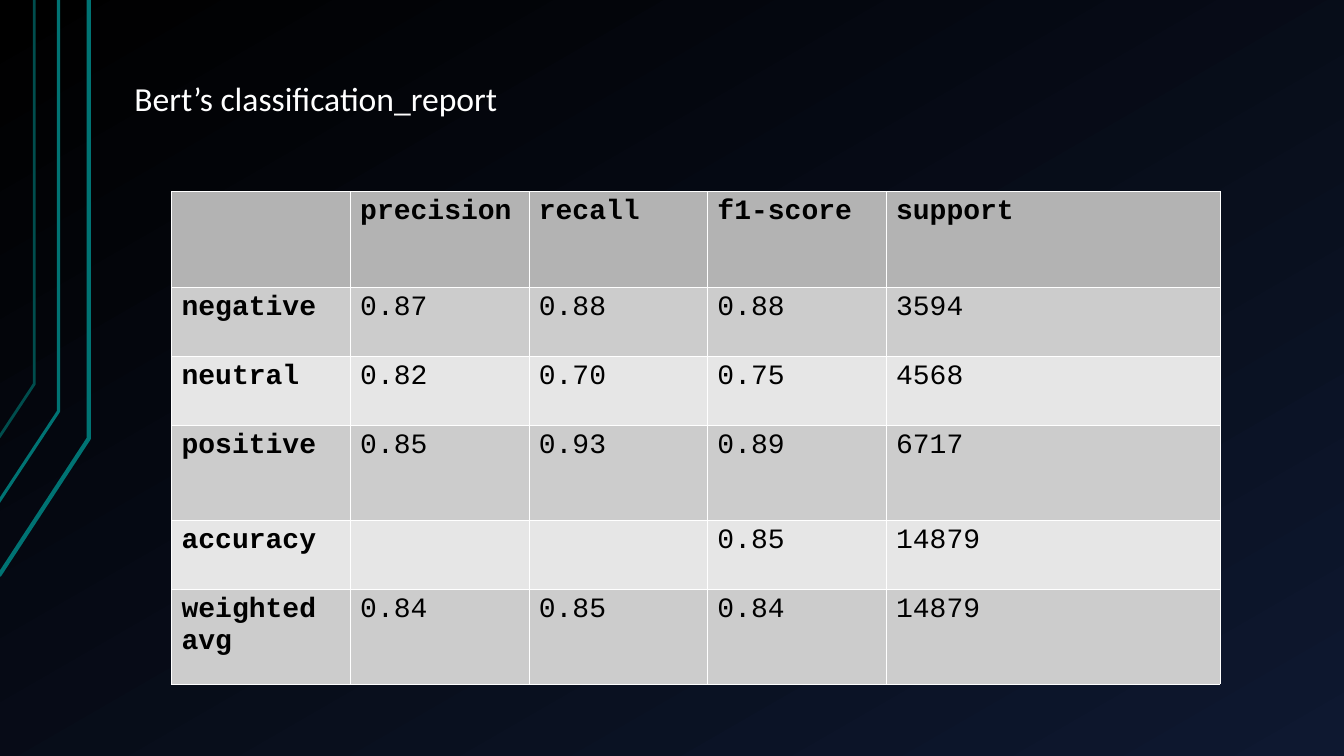
from lxml import etree
from pptx import Presentation
from pptx.dml.color import RGBColor
from pptx.enum import text
from pptx.oxml import ns
from pptx.util import Pt

BLACK = RGBColor(0x00, 0x00, 0x00)
NAVY = RGBColor(0x0E, 0x18, 0x30)
WHITE = RGBColor(0xFF, 0xFF, 0xFF)
TEAL = RGBColor(0x00, 0x73, 0x73)
DARK_TEAL = RGBColor(0x00, 0x4D, 0x4D)
HEADER_GREY = RGBColor(0xB3, 0xB3, 0xB3)
BAND_GREYS = [RGBColor(0xCC, 0xCC, 0xCC), RGBColor(0xE6, 0xE6, 0xE6)]


def write(paragraph, words, **font_format):
    span = paragraph.add_run()
    span.text = words
    color = font_format.pop("color")
    for name, value in font_format.items():
        setattr(span.font, name, value)
    span.font.color.rgb = color


def add_borders(cell, color, width):
    properties = cell._tc.get_or_add_tcPr()
    for side in ("lnL", "lnR", "lnT", "lnB"):
        line = etree.SubElement(properties, ns.qn(f"a:{side}"), w=str(Pt(width)))
        fill = etree.SubElement(line, ns.qn("a:solidFill"))
        etree.SubElement(fill, ns.qn("a:srgbClr"), val=str(color))


deck = Presentation()
deck.slide_width, deck.slide_height = Pt(960), Pt(540)
page = deck.slides.add_slide(deck.slide_layouts[6])

# Background gradient
backdrop = page.background.fill
backdrop.gradient()
backdrop.gradient_angle = 300
for stop, color, position in zip(backdrop.gradient_stops, (BLACK, NAVY), (0, 1)):
    stop.color.rgb = color
    stop.position = position

# Bent lines at the left edge: start x, start y, bend x, bend y
bent_lines = [
    (-0.7, 411.1, 63.4, 313.2, TEAL, 3),
    (-1.4, 359.3, 41.8, 293.8, TEAL, 2.25),
    (-0.7, 312.5, 24.5, 274.3, DARK_TEAL, 2),
]
for start_x, start_y, bend_x, bend_y, color, width in bent_lines:
    builder = page.shapes.build_freeform(Pt(start_x), Pt(start_y))
    builder.add_line_segments(
        [(Pt(bend_x), Pt(bend_y)), (Pt(bend_x), 0)], close=False)
    bent_line = builder.convert_to_shape()
    bent_line.shadow.inherit = False
    bent_line.fill.background()
    bent_line.line.color.rgb = color
    bent_line.line.width = Pt(width)

# Title
title = page.shapes.add_textbox(Pt(96), Pt(21.6), Pt(816), Pt(96.5))
frame_format = dict(word_wrap=True, vertical_anchor=text.MSO_ANCHOR.MIDDLE,
                    margin_left=0, margin_right=0, margin_top=0, margin_bottom=0)
for name, value in frame_format.items():
    setattr(title.text_frame, name, value)
write(title.text_frame.paragraphs[0], "Bert’s classification_report",
      size=Pt(24), name="Calibri", color=WHITE)

# Classification report
report = [
    ["", "precision", "recall", "f1-score", "support"],
    ["negative", "0.87", "0.88", "0.88", "3594"],
    ["neutral", "0.82", "0.70", "0.75", "4568"],
    ["positive", "0.85", "0.93", "0.89", "6717"],
    ["accuracy", "", "", "0.85", "14879"],
    ["weighted avg", "0.84", "0.85", "0.84", "14879"],
]
column_widths = [127.6] * 4 + [238.4]
row_heights = [68.2, 49.2, 49.2, 68.2, 49.2, 68.2]
table = page.shapes.add_table(
    len(report), len(column_widths), Pt(122.5), Pt(136.8),
    Pt(sum(column_widths)), Pt(sum(row_heights))).table
for column, width in zip(table.columns, column_widths):
    column.width = Pt(width)
for row, height in zip(table.rows, row_heights):
    row.height = Pt(height)

for row_index, entries in enumerate(report):
    shade = BAND_GREYS[(row_index - 1) % 2] if row_index else HEADER_GREY
    for column_index, entry in enumerate(entries):
        cell = table.cell(row_index, column_index)
        add_borders(cell, WHITE, 0.06)
        cell.fill.solid()
        cell.fill.fore_color.rgb = shade
        if entry:
            write(cell.text_frame.paragraphs[0], entry, size=Pt(20),
                  name="Courier New", color=BLACK,
                  bold=row_index == 0 or column_index == 0)

deck.save("out.pptx")
